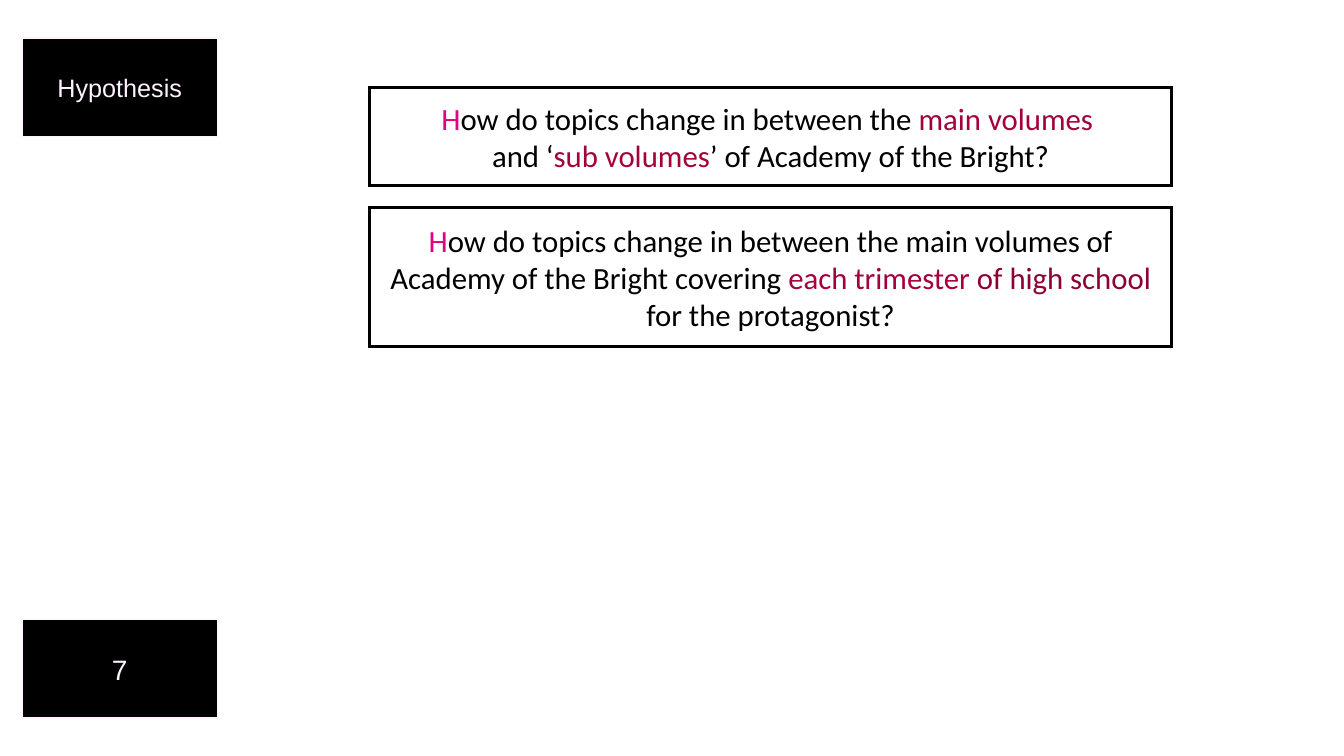
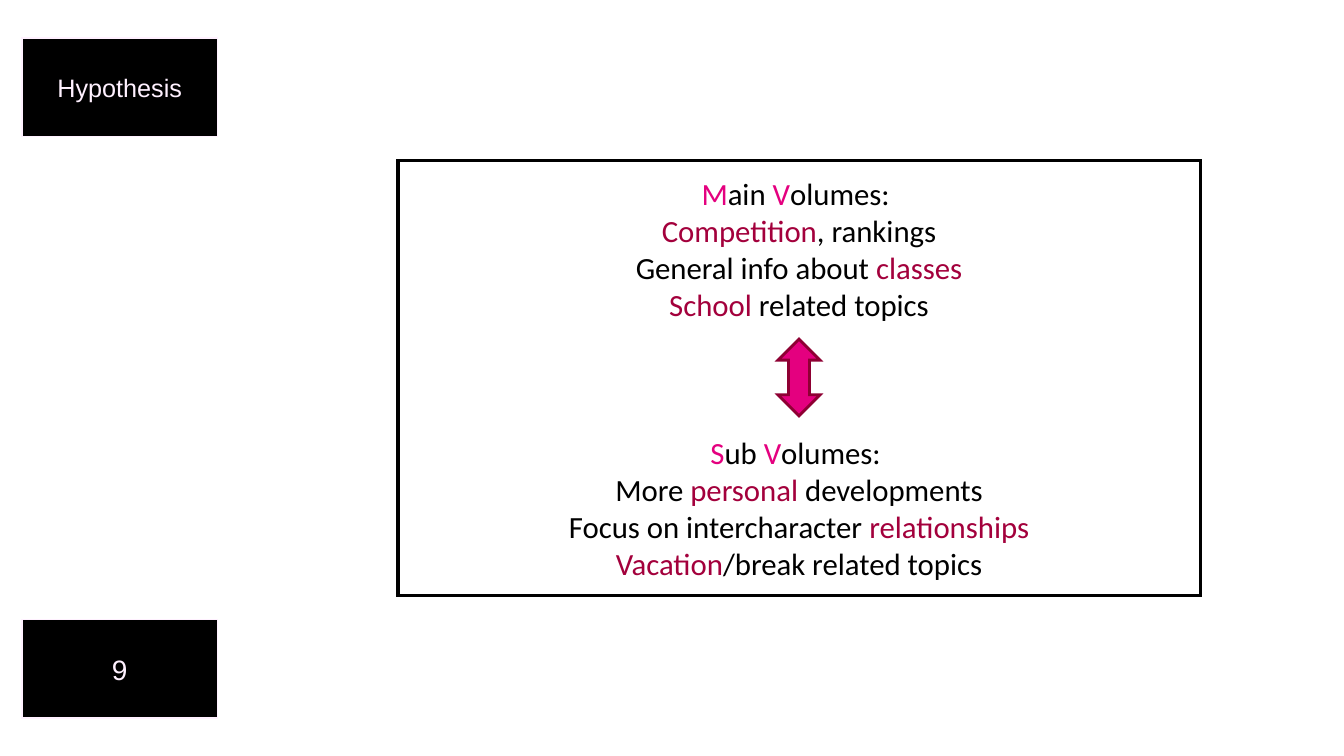
from dataclasses import dataclass

from lxml import etree
from pptx import Presentation
from pptx.dml.color import RGBColor
from pptx.enum.shapes import MSO_SHAPE
from pptx.enum.text import MSO_ANCHOR, MSO_AUTO_SIZE, PP_ALIGN
from pptx.oxml.ns import qn
from pptx.util import Pt

RECT = MSO_SHAPE.RECTANGLE
UP_DOWN_ARROW = MSO_SHAPE.UP_DOWN_ARROW
MIDDLE = MSO_ANCHOR.MIDDLE
NO_AUTOFIT = MSO_AUTO_SIZE.NONE
CENTER = PP_ALIGN.CENTER

PX = 9525
SLIDE_W, SLIDE_H = 1280, 720
TITLE_AND_CONTENT, TWO_CONTENT = 1, 3
COLORS = {
    "black": "000000",
    "white": "FFFFFF",
    "blush": "FFF1FF",
    "pink": "E4007F",
    "crimson": "A3003C",
    "wine": "8E0033",
}

Run = tuple[str, str]


@dataclass(frozen=True)
class Box:
    x: int
    y: int
    w: int
    h: int


@dataclass(frozen=True)
class Style:
    fill: str
    line: str
    line_pt: float
    font: str = "Calibri"
    size: int = 22


@dataclass(frozen=True)
class Line:
    runs: list[Run]
    gap_pt: float = 0


@dataclass(frozen=True)
class Panel:
    box: Box
    lines: list[Line]


TITLE_BOX = Box(21, 36, 186, 94)
NUMBER_BOX = Box(21, 590, 186, 94)
TITLE_STYLE = Style("black", "blush", 1, "Arial", 18)
NUMBER_STYLE = Style("black", "blush", 1, "Arial", 20)
PANEL_STYLE = Style("white", "black", 2.25)
ARROW_STYLE = Style("pink", "wine", 2)
ARROW_W, ARROW_H = 40, 73
ARROW_GAP_PT = 79.5

QUESTIONS = [
    Panel(Box(352, 83, 764, 94), [
        Line([("H", "pink"), ("ow do topics change in between the ", "black"),
              ("main volumes ", "crimson")]),
        Line([("and ‘", "black"), ("sub volumes", "crimson"),
              ("’ of Academy of the Bright?", "black")]),
    ]),
    Panel(Box(352, 198, 764, 132), [
        Line([("H", "pink"),
              ("ow do topics change in between the main volumes of "
               "Academy of the Bright covering ", "black"),
              ("each trimester ", "crimson"), ("of high school", "wine"),
              (" for the protagonist?", "black")]),
    ]),
]
COMPARISON = Panel(Box(379, 153, 764, 414), [
    Line([("M", "pink"), ("ain", "black"), (" V", "pink"), ("olumes: ", "black")]),
    Line([("Competition", "crimson"), (", rankings", "black")]),
    Line([("General info about ", "black"), ("classes", "crimson")]),
    Line([("School", "crimson"), (" related topics", "black")]),
    Line([("S", "pink"), ("ub", "black"), (" V", "pink"), ("olumes: ", "black")],
         ARROW_GAP_PT),
    Line([("More ", "black"), ("personal ", "crimson"), ("developments", "black")]),
    Line([("Focus on intercharacter ", "black"), ("relationships", "crimson")]),
    Line([("Vacation", "crimson"), ("/break related topics", "black")]),
])


def rgb(name: str) -> RGBColor:
    return RGBColor.from_string(COLORS[name])


def place(sp, box: Box) -> None:
    sp.left, sp.top = box.x * PX, box.y * PX
    sp.width, sp.height = box.w * PX, box.h * PX


def paint(sp, style: Style) -> None:
    sp.fill.solid()
    sp.fill.fore_color.rgb = rgb(style.fill)
    sp.line.color.rgb = rgb(style.line)
    sp.line.width = Pt(style.line_pt)
    ln = sp._element.spPr.find(qn("a:ln"))
    etree.SubElement(ln, qn("a:miter")).set("lim", "800000")


def write(sp, lines: list[Line], style: Style) -> None:
    tf = sp.text_frame
    tf.word_wrap = True
    tf.auto_size = NO_AUTOFIT
    tf.vertical_anchor = MIDDLE
    for i, line in enumerate(lines):
        p = tf.paragraphs[0] if i == 0 else tf.add_paragraph()
        p.alignment = CENTER
        p.space_before = Pt(line.gap_pt)
        pPr = p._p.get_or_add_pPr()
        pPr.set("marL", "0")
        pPr.set("indent", "0")
        etree.SubElement(pPr, qn("a:buNone"))
        for text, color in line.runs:
            r = p.add_run()
            r.text = text
            r.font.name = style.font
            r.font.size = Pt(style.size)
            r.font.color.rgb = rgb(color)


def fill_box(sp, box: Box, lines: list[Line], style: Style) -> None:
    place(sp, box)
    paint(sp, style)
    write(sp, lines, style)


def add_preset(s, preset, box: Box):
    sp = s.shapes.add_shape(preset, box.x * PX, box.y * PX, box.w * PX, box.h * PX)
    sp.shadow.inherit = False
    return sp


def add_hypothesis_slide(prs, layout: int, number: str, panels: list[Panel]):
    s = prs.slides.add_slide(prs.slide_layouts[layout])
    title, *bodies = s.placeholders
    fill_box(title, TITLE_BOX, [Line([("Hypothesis", "blush")])], TITLE_STYLE)
    fill_box(add_preset(s, RECT, NUMBER_BOX), NUMBER_BOX,
             [Line([(number, "blush")])], NUMBER_STYLE)
    for body, panel in zip(bodies, panels):
        fill_box(body, panel.box, panel.lines, PANEL_STYLE)
    return s


def add_center_arrow(s, box: Box) -> None:
    arrow_box = Box(box.x + (box.w - ARROW_W) // 2, box.y + (box.h - ARROW_H) // 2,
                    ARROW_W, ARROW_H)
    paint(add_preset(s, UP_DOWN_ARROW, arrow_box), ARROW_STYLE)


def main() -> None:
    prs = Presentation()
    prs.slide_width, prs.slide_height = SLIDE_W * PX, SLIDE_H * PX
    add_hypothesis_slide(prs, TWO_CONTENT, "7", QUESTIONS)
    s = add_hypothesis_slide(prs, TITLE_AND_CONTENT, "9", [COMPARISON])
    add_center_arrow(s, COMPARISON.box)
    prs.save("out.pptx")


if __name__ == "__main__":
    main()
